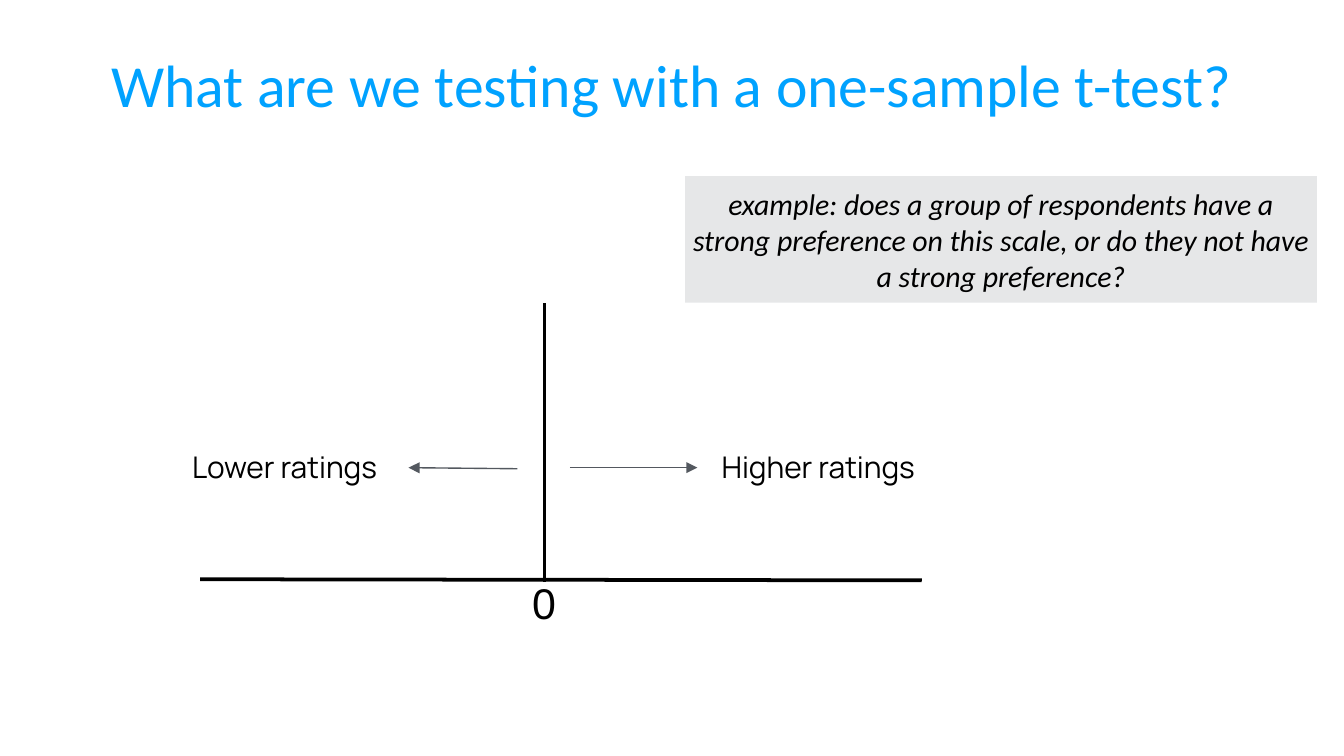
import lxml.etree
import pptx
import pptx.util
import pptx.dml.color
import pptx.enum.shapes
import pptx.enum.text
import pptx.oxml.ns
from pptx.util import Cm

COLORS = {"title": "00A2FF", "ink": "000000", "panel": "DCDEE0", "arrow": "53585F"}
ALIGN = pptx.enum.text.PP_ALIGN
ANCHOR = pptx.enum.text.MSO_ANCHOR
qn = pptx.oxml.ns.qn


def rgb(name):
    return pptx.dml.color.RGBColor.from_string(COLORS[name])


def write_text(box, text, font, size, color="ink", centred=True, inset=0.1):
    """Fill the box with one formatted line of text and return its run."""
    frame = box.text_frame
    frame.word_wrap = True
    frame.margin_left = frame.margin_right = Cm(inset)
    frame.margin_top = frame.margin_bottom = Cm(inset)
    frame.vertical_anchor = ANCHOR.MIDDLE if centred else ANCHOR.TOP
    frame.text = text
    para = frame.paragraphs[0]
    para.alignment = ALIGN.CENTER if centred else ALIGN.LEFT
    span = para.runs[0]
    span.font.name = font
    span.font.size = pptx.util.Pt(size)
    span.font.color.rgb = rgb(color)
    return span


deck = pptx.Presentation()
deck.slide_width = Cm(25.4)
deck.slide_height = Cm(14.29)
page = deck.slides.add_slide(deck.slide_layouts[6])

# Title
title = page.shapes.add_textbox(Cm(1.85), Cm(0), Cm(21.69), Cm(3.18))
write_text(title, "What are we testing with a one-sample t-test?", "Calibri", 32, "title")

# Axes, then the arrows pointing away from zero
lines = [
    (3.78, 10.95, 17.42, 10.97, "ink", 2, False),
    (10.29, 11.0, 10.29, 5.72, "ink", 2, False),
    (10.77, 8.84, 13.18, 8.84, "arrow", 0.75, True),
    (9.78, 8.86, 7.72, 8.84, "arrow", 0.75, True),
]
for x1, y1, x2, y2, color, width, has_head in lines:
    line = page.shapes.add_connector(
        pptx.enum.shapes.MSO_CONNECTOR.STRAIGHT, Cm(x1), Cm(y1), Cm(x2), Cm(y2))
    line.line.color.rgb = rgb(color)
    line.line.width = pptx.util.Pt(width)
    properties = line._element.spPr
    if has_head:
        lxml.etree.SubElement(properties.find(qn("a:ln")), qn("a:tailEnd"), type="triangle")
    lxml.etree.SubElement(properties, qn("a:effectLst"))

zero = page.shapes.add_textbox(Cm(9.93), Cm(10.92), Cm(0.71), Cm(0.94))
write_text(zero, "0", "Arial", 23)

# Example panel, partly transparent
panel = page.shapes.add_shape(
    pptx.enum.shapes.MSO_SHAPE.RECTANGLE, Cm(12.95), Cm(3.33), Cm(11.94), Cm(2.39))
panel.shadow.inherit = False
panel.line.fill.background()
panel.fill.solid()
panel.fill.fore_color.rgb = rgb("panel")
panel_color = panel._element.spPr.find(".//" + qn("a:srgbClr"))
lxml.etree.SubElement(panel_color, qn("a:alpha"), val="71000")
example = write_text(
    panel,
    "example: does a group of respondents have a strong preference on this scale, "
    "or do they not have a strong preference?",
    "Calibri", 16)
example.font.italic = True

# Labels at the arrow ends
for left, label in [(13.39, "Higher ratings"), (3.38, "Lower ratings")]:
    box = page.shapes.add_textbox(Cm(left), Cm(8.23), Cm(5.36), Cm(2.13))
    write_text(box, label, "Manrope", 16, centred=False, inset=0.25)

deck.save("out.pptx")
